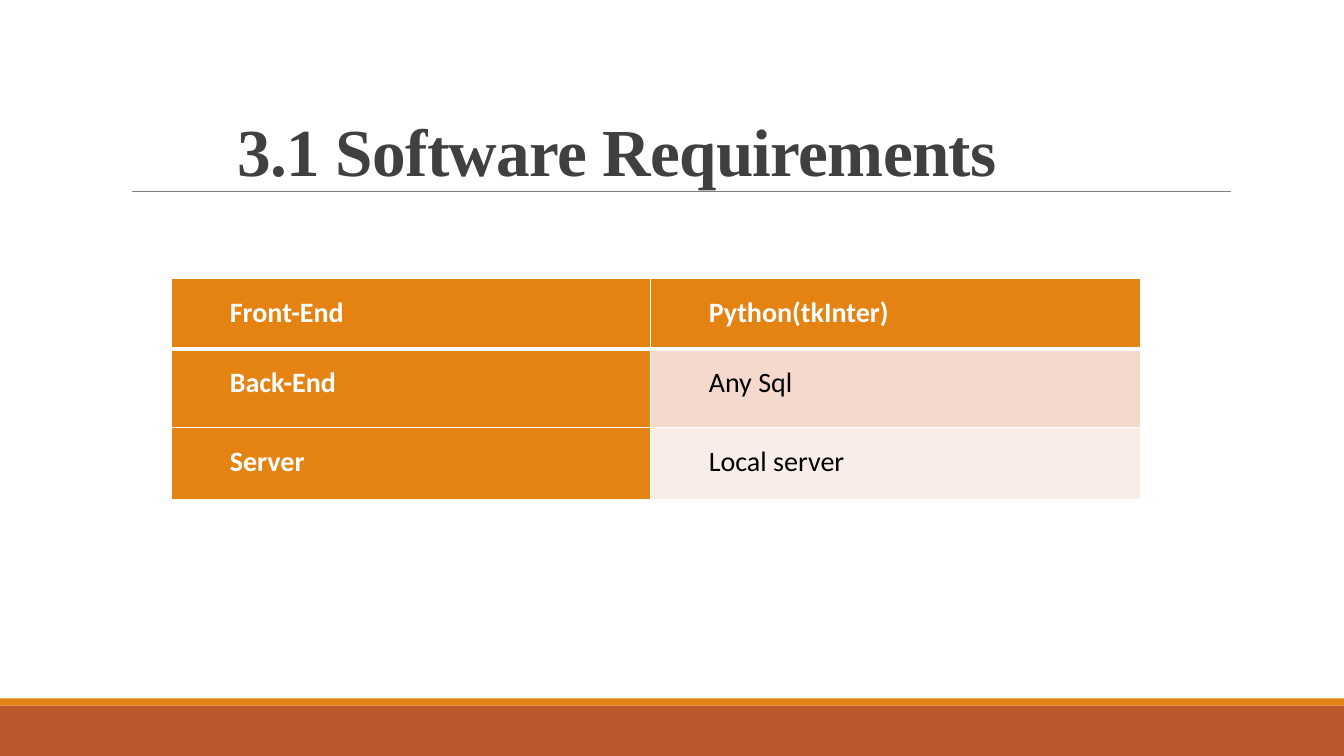
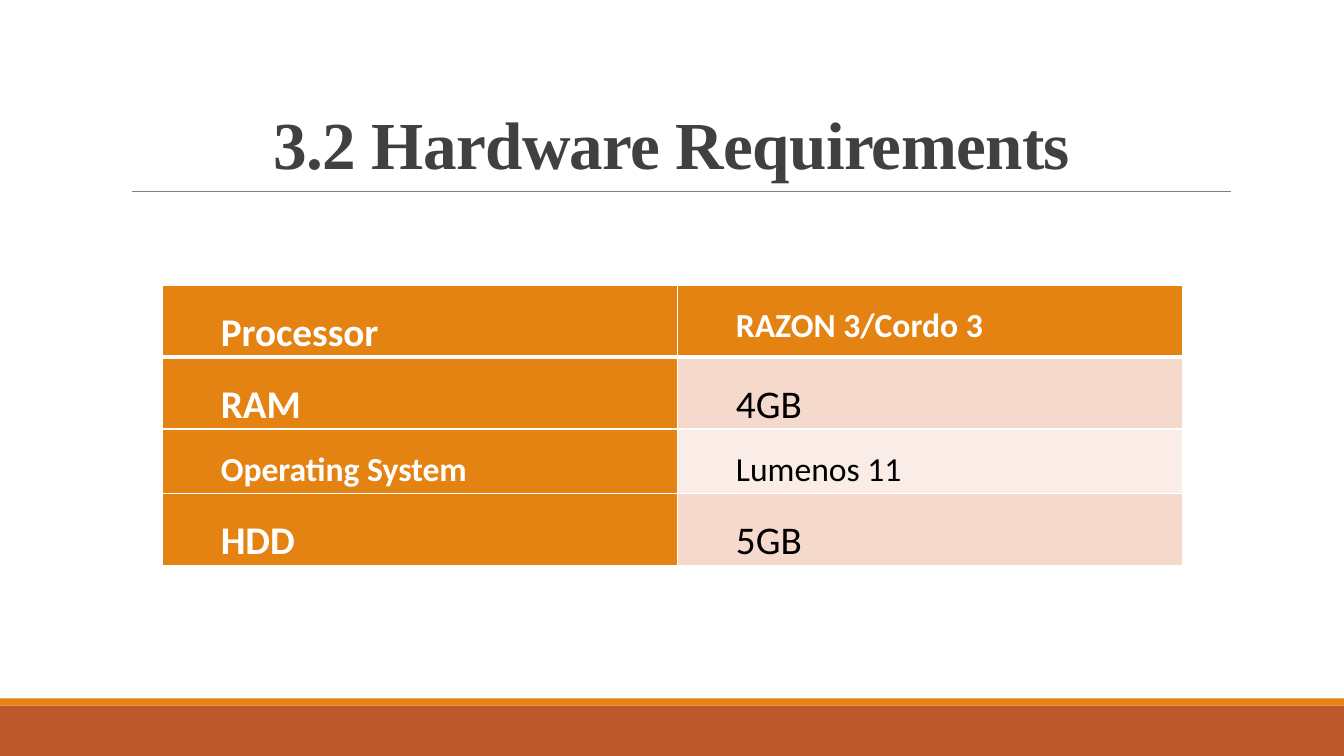
from dataclasses import dataclass

from lxml.etree import SubElement
from pptx import Presentation
from pptx.dml.color import RGBColor
from pptx.enum.shapes import MSO_CONNECTOR, MSO_SHAPE
from pptx.enum.text import MSO_ANCHOR, MSO_AUTO_SIZE, PP_ALIGN
from pptx.oxml.ns import qn
from pptx.slide import Slide
from pptx.table import _Cell
from pptx.util import Inches, Pt

# Shared look
ORANGE = RGBColor(0xE4, 0x83, 0x12)
RUST = RGBColor(0xBD, 0x58, 0x2C)
PINK = RGBColor(0xF5, 0xD9, 0xCC)
PALE_PINK = RGBColor(0xFA, 0xED, 0xE7)
WHITE = RGBColor(0xFF, 0xFF, 0xFF)
BLACK = RGBColor(0, 0, 0)
GREY = RGBColor(0x80, 0x80, 0x80)
DARK_GREY = RGBColor(0x40, 0x40, 0x40)
TITLE_FONT = "Times New Roman"
BODY_FONT = "Calibri"
SLIDE_WIDTH, SLIDE_HEIGHT = 13.33, 7.5


@dataclass
class Band:
    top: float
    height: float
    color: RGBColor


@dataclass
class Entry:
    label: str
    value: str
    height: float
    label_size: int = 20
    value_size: int = 20


@dataclass
class RequirementsPage:
    title: str
    title_box: tuple[float, float, float, float]
    title_alignment: PP_ALIGN
    table_corner: tuple[float, float]
    column_widths: tuple[float, float]
    cell_alignment: PP_ALIGN
    entries: list[Entry]


BANDS = [Band(7, 0.5, RUST), Band(6.93, 0.07, ORANGE)]

PAGES = [
    RequirementsPage(
        "3.1 Software Requirements", (2.26, 0.06, 11.07, 1.88), PP_ALIGN.LEFT,
        (1.7, 2.76), (4.75, 4.86), PP_ALIGN.JUSTIFY,
        [
            Entry("Front-End", "Python(tkInter)", 0.7),
            Entry("Back-End", "Any Sql", 0.78),
            Entry("Server", "Local server", 0.72),
        ],
    ),
    RequirementsPage(
        "3.2 Hardware Requirements", (0, 0.02, 13.33, 1.85), PP_ALIGN.CENTER,
        (1.61, 2.83), (5.11, 5.01), PP_ALIGN.LEFT,
        [
            Entry("Processor", "RAZON 3/Cordo 3", 0.56, 28, 24),
            Entry("RAM", "4GB", 0.64, 28, 28),
            Entry("Operating System", "Lumenos 11", 0.64, 24, 24),
            Entry("HDD", "5GB", 0.64, 28, 28),
        ],
    ),
]


def draw_frame(slide: Slide) -> None:
    """Footer bands and the rule under the title."""
    for band in BANDS:
        box = slide.shapes.add_shape(
            MSO_SHAPE.RECTANGLE, 0, Inches(band.top), Inches(SLIDE_WIDTH), Inches(band.height)
        )
        box.shadow.inherit = False
        box.fill.solid()
        box.fill.fore_color.rgb = band.color
        box.line.fill.background()
    rule = slide.shapes.add_connector(
        MSO_CONNECTOR.STRAIGHT, Inches(1.31), Inches(1.9), Inches(12.21), Inches(1.9)
    )
    rule.line.color.rgb = GREY
    rule.line.width = Pt(0.5)
    SubElement(rule._element.spPr, qn("a:effectLst"))


def write_title(slide: Slide, page: RequirementsPage) -> None:
    title = slide.shapes.title
    title.left, title.top, title.width, title.height = map(Inches, page.title_box)
    frame = title.text_frame
    frame.auto_size = MSO_AUTO_SIZE.NONE
    frame.word_wrap = True
    frame.vertical_anchor = MSO_ANCHOR.BOTTOM
    para = frame.paragraphs[0]
    span = para.add_run()
    span.text = page.title
    span._r.get_or_add_rPr().set("spc", "-50")
    para.alignment = page.title_alignment
    para.line_spacing = 0.85
    para.font.name = TITLE_FONT
    para.font.size = Pt(48)
    para.font.bold = True
    para.font.color.rgb = DARK_GREY


def set_borders(cell: _Cell, row: int) -> None:
    """White borders, heavier between the first two rows."""
    widths = {"L": 1, "R": 1, "T": 3 if row == 1 else 1, "B": 3 if row == 0 else 1}
    properties = cell._tc.get_or_add_tcPr()
    for side, width in widths.items():
        line = SubElement(properties, qn(f"a:ln{side}"), w=str(Pt(width)))
        fill = SubElement(line, qn("a:solidFill"))
        SubElement(fill, qn("a:srgbClr"), val=str(WHITE))


def fill_cell(cell: _Cell, text: str, size: int, row: int, column: int, alignment: PP_ALIGN) -> None:
    is_heading = row == 0 or column == 0
    set_borders(cell, row)
    cell.fill.solid()
    cell.fill.fore_color.rgb = ORANGE if is_heading else PINK if row % 2 else PALE_PINK
    cell.margin_left = cell.margin_right = Inches(0.08)
    cell.margin_top = cell.margin_bottom = 0
    cell.text = text
    para = cell.text_frame.paragraphs[0]
    para._p.get_or_add_pPr().set("marL", str(Inches(0.5)))
    para.alignment = alignment
    para.line_spacing = 1.5
    para.space_after = Pt(10 if column else 0)
    para.font.name = BODY_FONT
    para.font.size = Pt(size)
    para.font.bold = is_heading
    para.font.color.rgb = WHITE if is_heading else BLACK


def draw_table(slide: Slide, page: RequirementsPage) -> None:
    left, top = page.table_corner
    height = sum(entry.height for entry in page.entries)
    table = slide.shapes.add_table(
        len(page.entries), 2, Inches(left), Inches(top),
        Inches(sum(page.column_widths)), Inches(height),
    ).table
    table.first_col = True
    table.horz_banding = False
    for column, width in zip(table.columns, page.column_widths):
        column.width = Inches(width)
    for row, entry in enumerate(page.entries):
        table.rows[row].height = Inches(entry.height)
        fill_cell(table.cell(row, 0), entry.label, entry.label_size, row, 0, page.cell_alignment)
        fill_cell(table.cell(row, 1), entry.value, entry.value_size, row, 1, page.cell_alignment)


# Build the deck
deck = Presentation()
deck.slide_width = Inches(SLIDE_WIDTH)
deck.slide_height = Inches(SLIDE_HEIGHT)
title_only = deck.slide_layouts.get_by_name("Title Only")
for page in PAGES:
    slide = deck.slides.add_slide(title_only)
    draw_frame(slide)
    write_title(slide, page)
    draw_table(slide, page)
deck.save("out.pptx")
